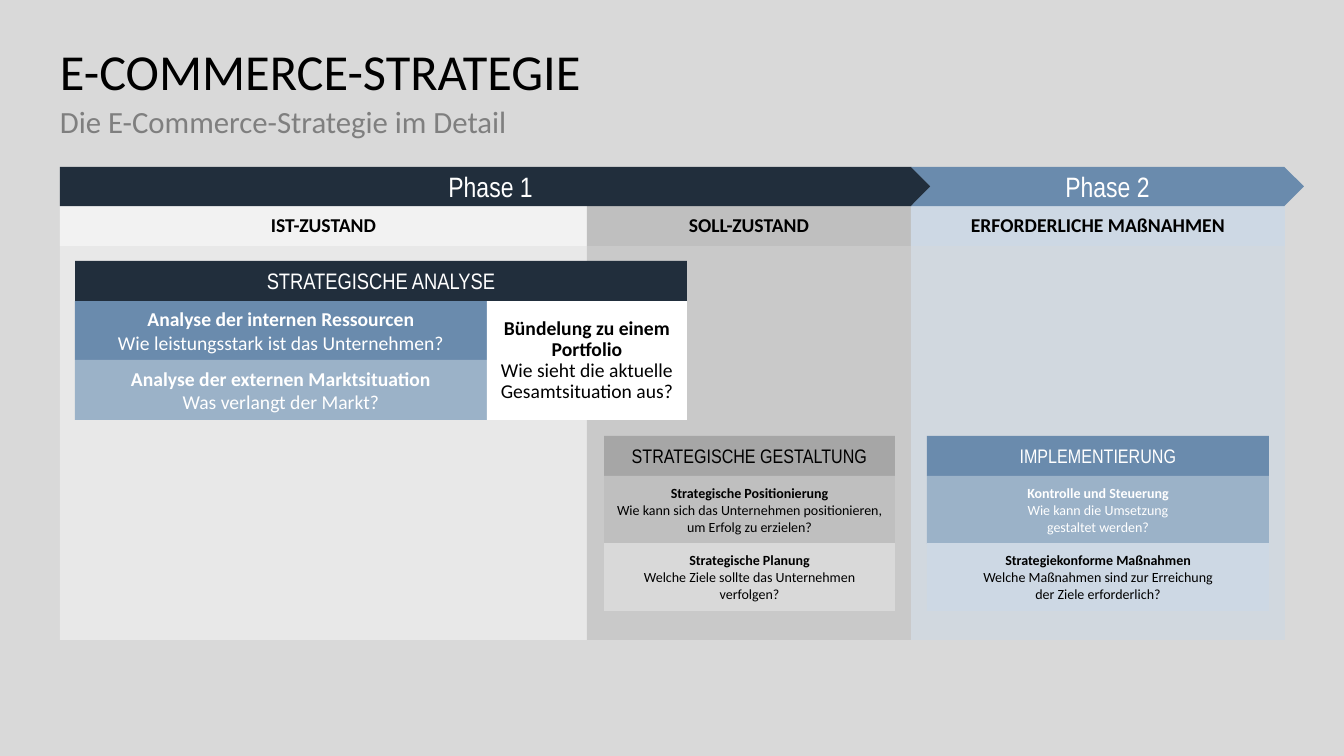
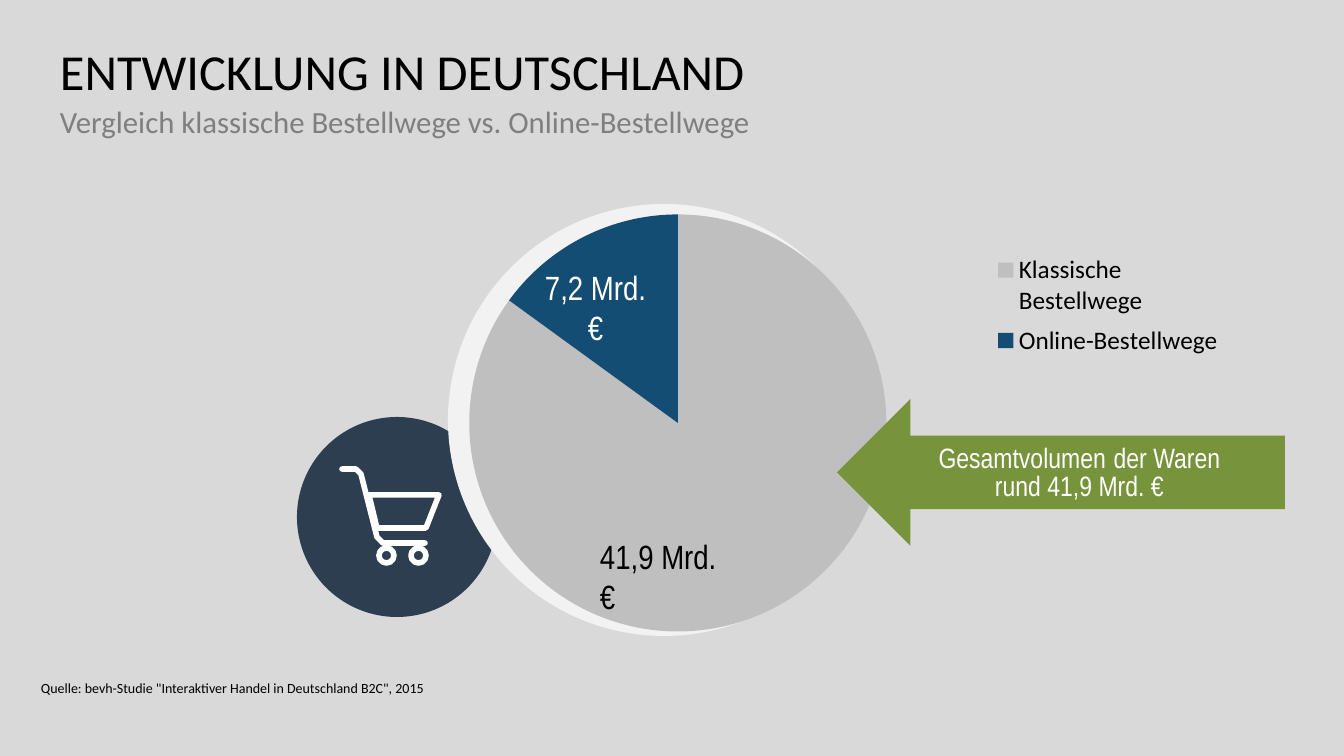
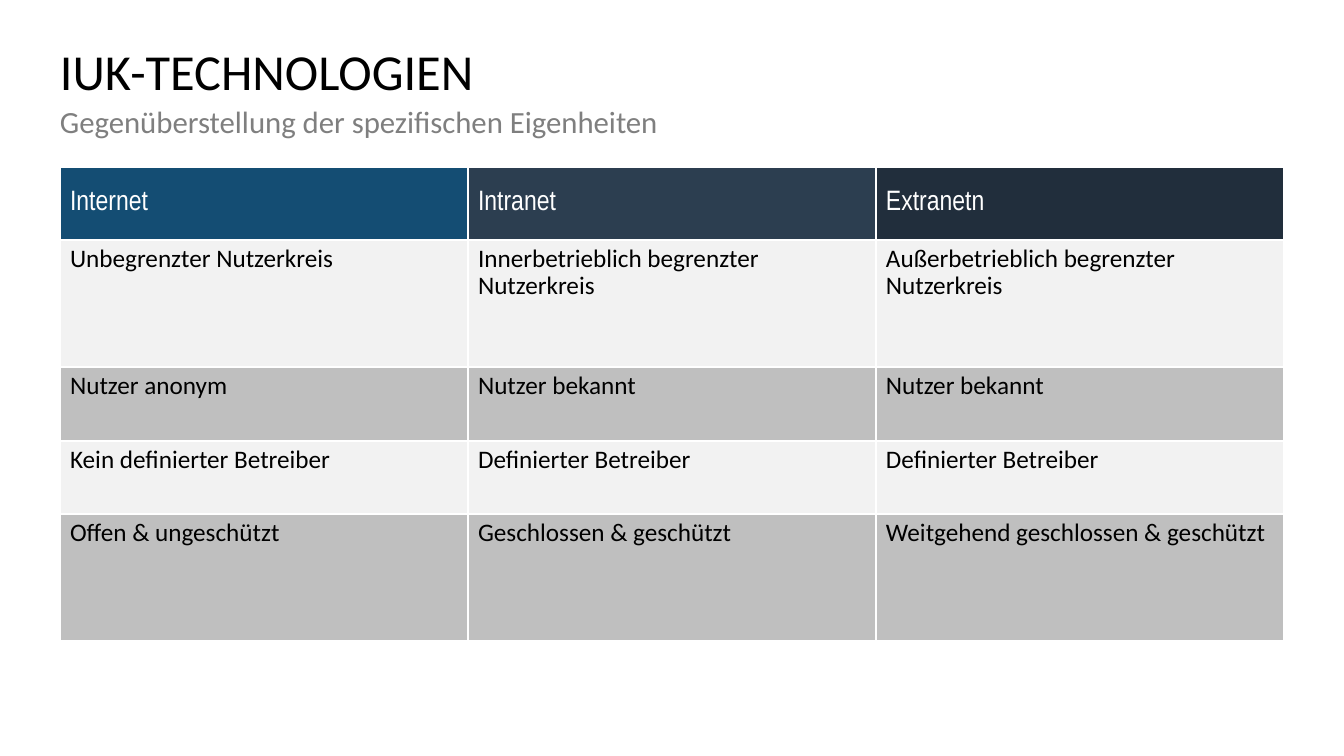
"""Build three slides on e-commerce: strategy, market share and network types."""
from copy import deepcopy

from lxml.etree import SubElement as Sub
from pptx import Presentation
from pptx.chart.data import CategoryChartData as Data
from pptx.dml.color import RGBColor as RGB
from pptx.enum.chart import XL_CHART_TYPE as CT, XL_LEGEND_POSITION as LP
from pptx.enum.shapes import MSO_SHAPE as MS
from pptx.enum.text import MSO_ANCHOR as VA, PP_ALIGN as AL
from pptx.oxml.ns import qn
from pptx.util import Pt

PX = 914400 / 100.8
WIDE, HIGH = 1344, 756
LEFT, TOP, SPAN = 60, 167, 1225
SANS, SLIM = "Calibri", "Arial Narrow"
HUE = {
    "black": "000000", "white": "FFFFFF", "text": "7F7F7F", "pale": "F2F2F2",
    "back": "D9D9D9", "grey": "BFBFBF", "stone": "A6A6A6", "night": "212E3C",
    "slate": "2C3E50", "navy": "144D73", "steel": "6A8BAD", "mist": "9BB2C8",
    "ice": "CDD8E4", "green": "77933C",
}


def emu(*vals):
    return [round(v * PX) for v in vals]


def tint(name):
    return RGB.from_string(HUE[name])


def paint(fill, name):
    fill.solid()
    fill.fore_color.rgb = tint(name)


def write(par, text, size, color="black", face=SANS, bold=False):
    for i, part in enumerate(text.split("\n")):
        if i:
            par.add_line_break()
            par._p[-1].append(deepcopy(run._r.rPr))
        run = par.add_run()
        run.text = part
        font = run.font
        font.size, font.name, font.bold = Pt(size), face, bold
        font.color.rgb = tint(color)


def setup(frame, inset=0, anchor=VA.TOP):
    frame.word_wrap = True
    frame.vertical_anchor = anchor
    side, edge = emu(2 * inset, inset)
    frame.margin_left = frame.margin_right = side
    frame.margin_top = frame.margin_bottom = edge


def label(slide, box, text, size, color="black", face=SANS,
          align=AL.LEFT, inset=0, lead=None):
    frame = slide.shapes.add_textbox(*emu(*box)).text_frame
    setup(frame, inset)
    par = frame.paragraphs[0]
    par.alignment, par.line_spacing = align, lead
    write(par, text, size, color, face)


def block(slide, box, color, kind=MS.RECTANGLE):
    shape = slide.shapes.add_shape(kind, *emu(*box))
    shape.shadow.inherit = False
    paint(shape.fill, color)
    shape.line.fill.background()
    setup(shape.text_frame, 0, VA.MIDDLE)
    return shape


def panel(slide, box, color, alpha):
    shape = block(slide, box, color)
    rgb = shape.element.spPr.find(".//" + qn("a:srgbClr"))
    Sub(rgb, qn("a:alpha")).set("val", str(alpha * 1000))


def band(slide, box, color, text, size, ink="white", face=SLIM,
         bold=False, lead=None, kind=MS.RECTANGLE):
    par = block(slide, box, color, kind).text_frame.paragraphs[0]
    par.alignment, par.line_spacing = AL.CENTER, lead
    write(par, text, size, ink, face, bold)


def card(slide, box, color, head, body, size, ink="white", lead=None):
    frame = block(slide, box, color).text_frame
    for text, bold in ((head, True), (body, False)):
        par = frame.paragraphs[0] if bold else frame.add_paragraph()
        par.alignment, par.line_spacing = AL.CENTER, lead
        write(par, text, size, ink, bold=bold)


def stroke(shape, width):
    shape.shadow.inherit = False
    shape.fill.background()
    shape.line.color.rgb = tint("white")
    shape.line.width = Pt(width)
    line = shape.element.spPr.get_or_add_ln()
    line.set("cap", "rnd")
    Sub(line, qn("a:round"))


def trace(slide, spots, close=False):
    pen = slide.shapes.build_freeform(*spots[0], scale=PX)
    pen.add_line_segments(spots[1:], close=close)
    stroke(pen.convert_to_shape(), 4)


def cart(slide):
    block(slide, (297, 417, 200, 200), "slate", MS.OVAL)
    trace(slide, [(342, 469), (356, 469), (361, 474), (377, 537),
                  (383, 543), (425, 543)])
    trace(slide, [(369, 495), (439, 495), (426, 528), (377, 528)], True)
    for x in (379, 411):
        stroke(slide.shapes.add_shape(MS.OVAL, *emu(x, 548, 15, 15)), 4)


def place(node, spot, vals, inner=False):
    for old in node.findall(qn("c:layout")):
        node.remove(old)
    lay = node.makeelement(qn("c:layout"))
    node.insert(spot, lay)
    man = Sub(lay, qn("c:manualLayout"))
    if inner:
        Sub(man, qn("c:layoutTarget")).set("val", "inner")
    for key in ("xMode", "yMode"):
        Sub(man, qn("c:" + key)).set("val", "edge")
    for key, val in zip("xywh", vals):
        Sub(man, qn("c:" + key)).set("val", str(val))


def pie(slide, box, parts):
    data = Data()
    data.categories = [name for name, _, _ in parts]
    data.add_series("Series 1", [val for _, val, _ in parts])
    chart = slide.shapes.add_chart(CT.PIE, *emu(*box), data).chart
    chart.has_title = False
    chart.font.size, chart.font.name = Pt(18), SANS
    chart.font.color.rgb = tint("black")
    chart.has_legend = True
    chart.legend.position = LP.RIGHT
    chart.legend.include_in_layout = False
    plot = chart.plots[0]
    plot.vary_by_categories = True
    for i, (_, _, color) in enumerate(parts):
        form = plot.series[0].points[i].format
        paint(form.fill, color)
        form.line.fill.background()
    area = chart.element.find(".//" + qn("c:plotArea"))
    place(area, 0, (0.12, 0.03, 0.48, 0.94), True)
    key = chart.element.find(".//" + qn("c:legend"))
    place(key, 1, (0.72, 0.1, 0.27, 0.27))


def grid(slide, heads, rows, highs):
    wide = 408
    box = (LEFT, TOP, wide * len(heads), sum(highs))
    table = slide.shapes.add_table(
        len(highs), len(heads), *emu(*box)).table
    for col in table.columns:
        col.width = emu(wide)[0]
    for row, high in zip(table.rows, highs):
        row.height = emu(high)[0]
    for c, (text, color) in enumerate(heads):
        cell = table.cell(0, c)
        cell.vertical_anchor = VA.MIDDLE
        paint(cell.fill, color)
        write(cell.text_frame.paragraphs[0], text, 20, "white", SLIM)
    for r, row in enumerate(rows, 1):
        for c, text in enumerate(row):
            cell = table.cell(r, c)
            paint(cell.fill, "pale" if r % 2 else "grey")
            par = cell.text_frame.paragraphs[0]
            par.line_spacing = 0.9
            write(par, text, 18)


def start(deck, title, sub, back="back"):
    slide = deck.slides.add_slide(deck.slide_layouts[6])
    paint(slide.background.fill, back)
    label(slide, (LEFT, 47, SPAN, 60), title, 36, lead=0.9)
    label(slide, (LEFT, 107, SPAN, 60), sub, 22, "text", lead=0.9)
    return slide


def plan(deck):
    slide = start(deck, "E-COMMERCE-STRATEGIE",
                  "Die E-Commerce-Strategie im Detail")
    x = LEFT
    for text, wide, color in (("IST-ZUSTAND", 527, "pale"),
                              ("SOLL-ZUSTAND", 324, "grey"),
                              ("ERFORDERLICHE MAßNAHMEN", 374, "ice")):
        panel(slide, (x, 246, wide, 394), color, 60)
        band(slide, (x, 206, wide, 40), color, text, 14, "black",
             SANS, True, 0.9)
        x += wide
    band(slide, (LEFT, TOP, 871, 39), "night", "Phase 1", 20,
         kind=MS.PENTAGON)
    band(slide, (911, TOP, 393, 39), "steel", "Phase 2", 20,
         kind=MS.CHEVRON)

    band(slide, (75, 261, 612, 40), "night", "STRATEGISCHE ANALYSE", 16)
    card(slide, (75, 301, 412, 59), "steel",
         "Analyse der internen Ressourcen",
         "Wie leistungsstark ist das Unternehmen?", 14)
    card(slide, (75, 360, 412, 60), "mist",
         "Analyse der externen Marktsituation", "Was verlangt der Markt?", 14)
    card(slide, (487, 301, 200, 119), "white", "Bündelung zu einem Portfolio",
         "Wie sieht die aktuelle Gesamtsituation aus?", 14, "black", 0.9)

    stacks = (
        (604, 291, "STRATEGISCHE GESTALTUNG", "stone", "black", (
            ("grey", "black", "Strategische Positionierung",
             "Wie kann sich das Unternehmen positionieren,\n"
             "um Erfolg zu erzielen?"),
            ("back", "black", "Strategische Planung",
             "Welche Ziele sollte das Unternehmen\nverfolgen?"))),
        (927, 342, "IMPLEMENTIERUNG", "steel", "white", (
            ("mist", "white", "Kontrolle und Steuerung",
             "Wie kann die Umsetzung\ngestaltet werden?"),
            ("ice", "black", "Strategiekonforme Maßnahmen",
             "Welche Maßnahmen sind zur Erreichung\n"
             "der Ziele erforderlich?"))),
    )
    for x, wide, text, color, ink, cards in stacks:
        band(slide, (x, 436, wide, 40), color, text, 14, ink)
        for i, (fill, tone, head, body) in enumerate(cards):
            card(slide, (x, 476 + 67 * i, wide, 68), fill, head, body,
                 10, tone)


def share(deck):
    slide = start(deck, "ENTWICKLUNG IN DEUTSCHLAND",
                  "Vergleich klassische Bestellwege vs. Online-Bestellwege")
    cart(slide)
    block(slide, (448, 204, 432, 432), "pale", MS.OVAL)
    pie(slide, (365, 201, 869, 444),
        (("Klassische Bestellwege", 85, "grey"),
         ("Online-Bestellwege", 15, "navy")))
    label(slide, (530, 262, 131, 50), "7,2 Mrd. €", 24, "white", SLIM,
          AL.CENTER, 5)
    label(slide, (590, 531, 147, 50), "41,9 Mrd. €", 24, face=SLIM, inset=5)
    arrow = block(slide, (837, 399, 448, 147), "green", MS.LEFT_ARROW)
    par = arrow.text_frame.paragraphs[0]
    par.alignment, par.line_spacing = AL.CENTER, 0.8
    for text, size in (("Gesamtvolumen", 20), (" ", 24),
                       ("der Waren\nrund 41,9 Mrd. €", 20)):
        write(par, text, size, "white", SLIM)
    label(slide, (41, 681, 428, 23),
          'Quelle: bevh-Studie "Interaktiver Handel in Deutschland B2C", 2015',
          10, lead=0.9)


def nets(deck):
    slide = start(deck, "IUK-TECHNOLOGIEN",
                  "Gegenüberstellung der spezifischen Eigenheiten", "white")
    heads = (("Internet", "navy"), ("Intranet", "slate"),
             ("Extranetn", "night"))
    rows = (
        ("Unbegrenzter Nutzerkreis",
         "Innerbetrieblich begrenzter Nutzerkreis",
         "Außerbetrieblich begrenzter Nutzerkreis"),
        ("Nutzer anonym", "Nutzer bekannt", "Nutzer bekannt"),
        ("Kein definierter Betreiber", "Definierter Betreiber",
         "Definierter Betreiber"),
        ("Offen & ungeschützt", "Geschlossen & geschützt",
         "Weitgehend geschlossen & geschützt"),
    )
    grid(slide, heads, rows, (73, 127, 74, 73, 127))


def main():
    deck = Presentation()
    deck.slide_width, deck.slide_height = emu(WIDE, HIGH)
    plan(deck)
    share(deck)
    nets(deck)
    deck.save("out.pptx")


if __name__ == "__main__":
    main()
